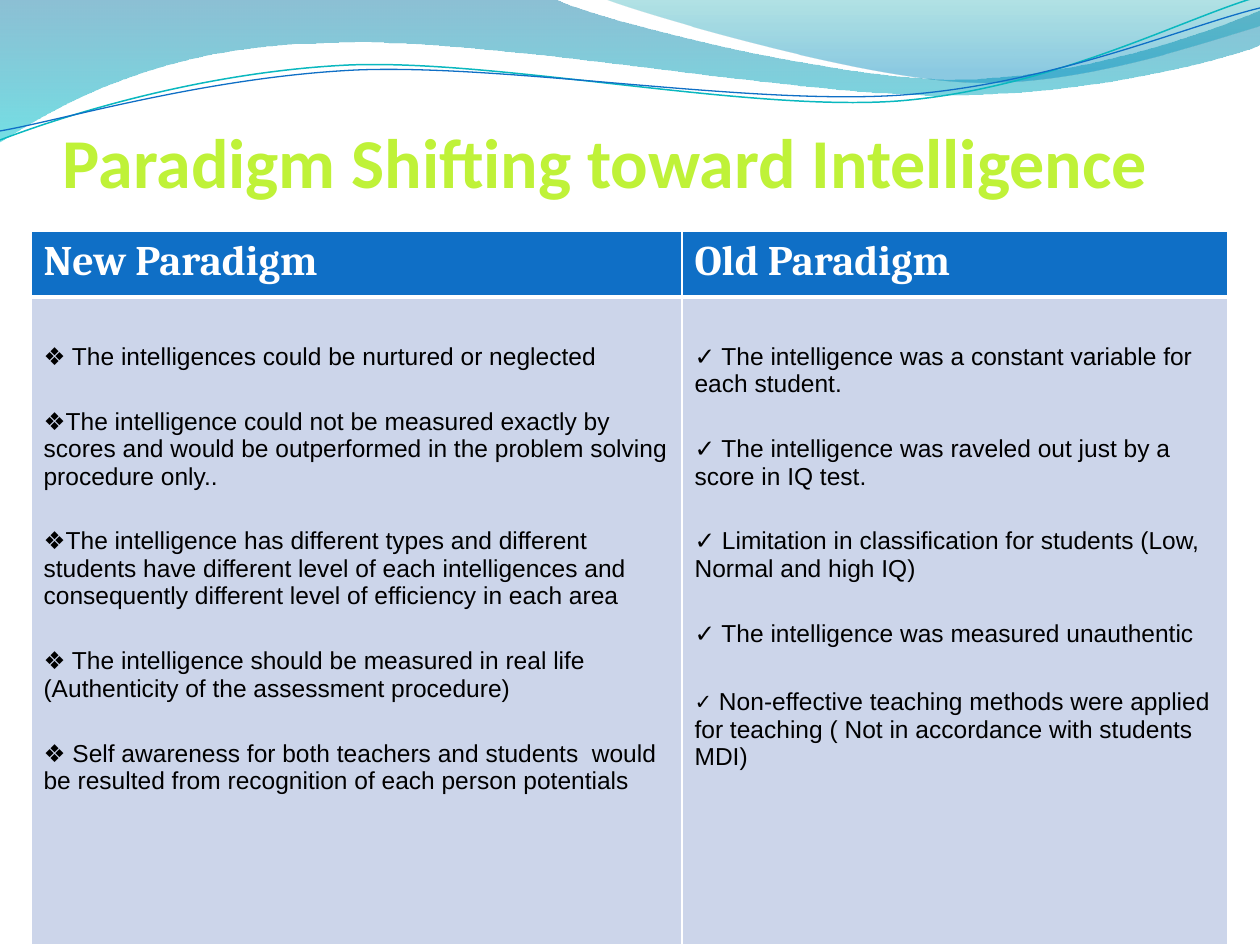
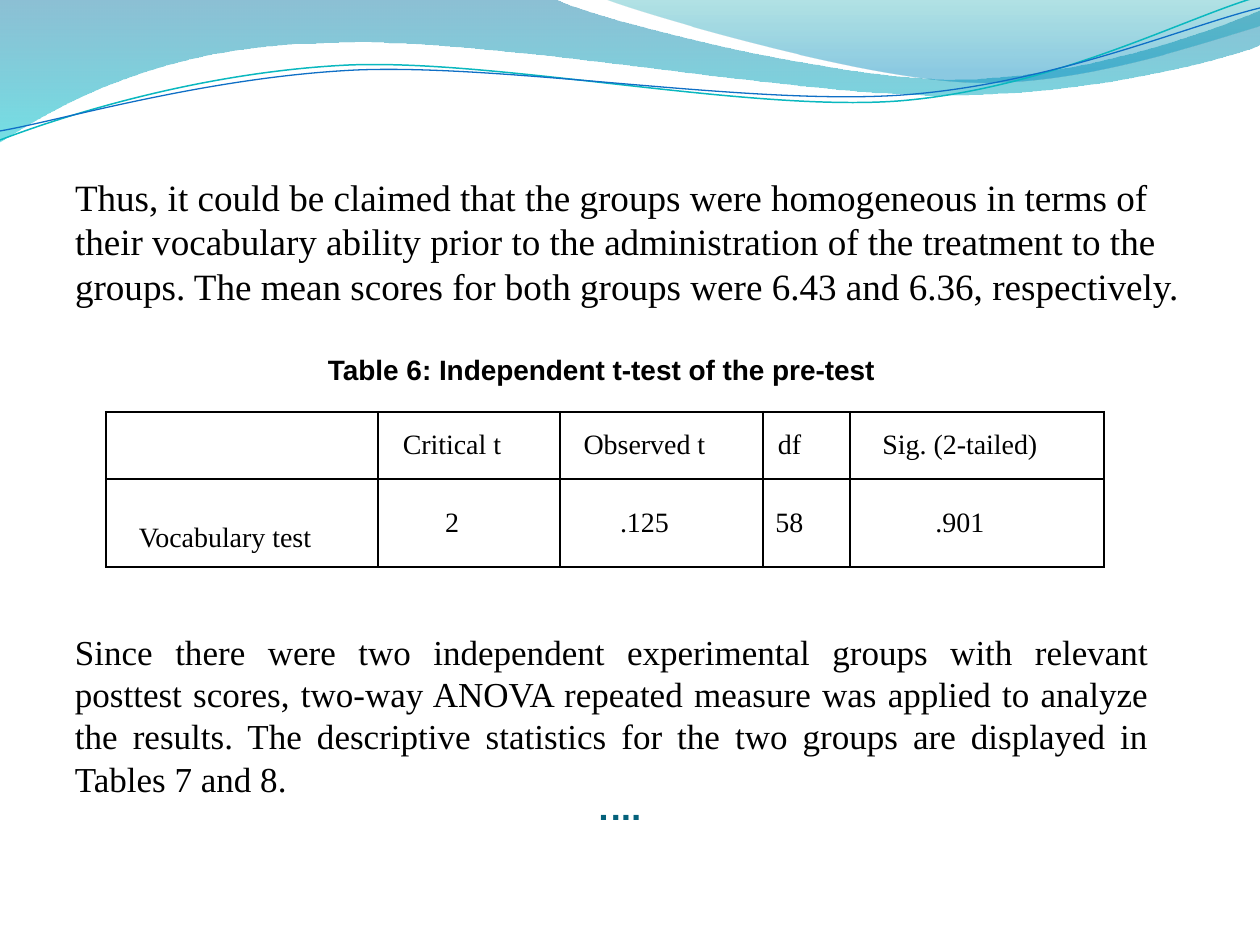
"""Build two slides on paradigms of intelligence and a t-test under a wave band."""
import dataclasses

import lxml.etree
import pptx
import pptx.dml.color
import pptx.enum.text
import pptx.oxml.ns
import pptx.util

ALIGN = pptx.enum.text.PP_ALIGN
ANCHOR = pptx.enum.text.MSO_ANCHOR
SCALE = 914400 / 126
WIDE, HIGH = 1260, 945


@dataclasses.dataclass(frozen=True)
class Theme:
    ink: str = "000000"
    white: str = "FFFFFF"
    lime: str = "BFF238"
    teal: str = "04617B"
    blue: str = "0F6FC6"
    aqua: str = "0AB8BF"
    pale: str = "CCD5EA"
    band: tuple = ((0, "0074A1", 45), (1, "00C6CF", 55))
    sheen: tuple = ((0, "00A1A9", 30), (0.8, "008BBF", 45))
    head: str = "Calibri"
    label: str = "Cambria"
    sans: str = "Arial"
    serif: str = "Times New Roman"
    title: int = 40
    mark: int = 28
    column: int = 24
    lead: float = 21.2
    body: int = 20
    small: int = 16
    item: int = 14


BAND = [(0, 0), (554, -1), (600, 21, 837, 79, 955, 79),
        (1075, 79, 1207, 33, 1260, 11), (1261, 45),
        (1239, 55, 1096, 96, 940, 95), (784, 95, 481, 35, 324, 43),
        (163, 45, 58, 105, -1, 142)]
SHEEN = [(604, -1), (641, 14, 859, 78, 969, 82),
         (1079, 87, 1211, 40, 1260, 26), (1260, 0)]
AQUA_WAVE = [(0, 140), (60, 117, 199, 72, 349, 65),
             (498, 59, 747, 112, 898, 101), (1050, 89, 1182, 19, 1257, -3)]
BLUE_WAVE = [(0, 131), (59, 121, 207, 77, 357, 70),
             (508, 64, 752, 106, 903, 95), (1053, 84, 1186, 26, 1260, 8)]

NEW = [
    " The intelligences could be nurtured or neglected",
    "The intelligence could not be measured exactly by scores and would be "
    "outperformed in the problem solving procedure only..",
    "The intelligence has different types and different students have different "
    "level of each intelligences and consequently different level of efficiency "
    "in each area",
    " The intelligence should be measured in real life (Authenticity of the "
    "assessment procedure)",
    " Self awareness for both teachers and students  would be resulted from "
    "recognition of each person potentials",
]
OLD = [
    " The intelligence was a constant variable for each student.",
    " The intelligence was raveled out just by a score in IQ test.",
    " Limitation in classification for students (Low, Normal and high IQ)",
    " The intelligence was measured unauthentic",
]
LAST = (" Non-effective teaching methods were applied for teaching "
        "( Not in accordance with students MDI)")
SCORES = [["", "Critical t", "Observed t", "df", "Sig. (2-tailed)"],
          ["Vocabulary test", "2", ".125", "58", ".901"]]
CLAIM = ("Thus, it could be claimed that the groups were homogeneous in terms of "
         "their vocabulary ability prior to the administration of the treatment to "
         "the groups. The mean scores for both groups were 6.43 and 6.36, "
         "respectively.")
METHOD = ("Since there were two independent experimental groups with relevant "
          "posttest scores, two-way ANOVA repeated measure was applied to analyze "
          "the results. The descriptive statistics for the two groups are displayed "
          "in Tables 7 and 8.")


def px(size):
    return pptx.util.Emu(round(size * SCALE))


def rgb(code):
    return pptx.dml.color.RGBColor.from_string(code)


def node(parent, tag, **values):
    return lxml.etree.SubElement(parent, pptx.oxml.ns.qn(tag), values)


def write(frame, text, font, size, color, bold=False, align=ALIGN.LEFT,
          lines=None, gap=0, bullet=None, part=100, rtl=False):
    para = frame.paragraphs[0]
    if para.runs:
        para = frame.add_paragraph()
    if bullet:
        props = para._p.get_or_add_pPr()
        node(props, "a:buSzPct", val=str(part * 1000))
        node(props, "a:buFont", typeface=font)
        node(props, "a:buChar", char=bullet)
    if rtl:
        para._p.get_or_add_pPr().set("rtl", "1")
    para.alignment = align
    if lines:
        para.line_spacing = lines
    if gap:
        para.space_before = pptx.util.Pt(gap)
    run = para.add_run()
    run.text = text
    run.font.name, run.font.size = font, pptx.util.Pt(size)
    run.font.bold = bold
    run.font.color.rgb = rgb(color)


class Deck:
    def __init__(self, theme):
        self.theme = theme
        self.show = pptx.Presentation()
        self.show.slide_width, self.show.slide_height = px(WIDE), px(HIGH)
        self.slide = None

    def page(self):
        look = self.theme
        self.slide = self.show.slides.add_slide(self.show.slide_layouts[6])
        self.area(BAND, look.band)
        self.area(SHEEN, look.sheen)
        self.wave(AQUA_WAVE, look.aqua, 0.85)
        self.wave(BLUE_WAVE, look.blue, 0.75)

    def outline(self, steps, close):
        points = [(px(x), px(y)) for step in steps
                  for x, y in zip(step[::2], step[1::2])]
        pen = self.slide.shapes.build_freeform(*points[0], scale=1.0)
        pen.add_line_segments(points[1:], close=close)
        shape = pen.convert_to_shape()
        shape.shadow.inherit = False
        lines = list(shape._element.iter(pptx.oxml.ns.qn("a:lnTo")))
        for step in steps[1:]:
            group, lines = lines[:len(step) // 2], lines[len(step) // 2:]
            if len(group) == 3:
                curve = node(group[0].getparent(), "a:cubicBezTo")
                group[0].addprevious(curve)
                for line in group:
                    curve.append(line[0])
                    line.getparent().remove(line)
        return shape

    def area(self, steps, stops):
        shape = self.outline(steps, True)
        shape.line.fill.background()
        shape.fill.gradient()
        shape.fill.gradient_angle = 270
        for stop, (place, color, alpha) in zip(shape.fill.gradient_stops, stops):
            stop.position = place
            stop.color.rgb = rgb(color)
            tone = stop._gs.find(pptx.oxml.ns.qn("a:srgbClr"))
            node(tone, "a:alpha", val=str(alpha * 1000))

    def wave(self, steps, color, width):
        shape = self.outline(steps, False)
        shape.fill.background()
        shape.line.color.rgb = rgb(color)
        shape.line.width = pptx.util.Pt(width)

    def text(self, box, words, anchor=ANCHOR.TOP, **style):
        frame = self.slide.shapes.add_textbox(*map(px, box)).text_frame
        frame.margin_left = frame.margin_right = 0
        frame.margin_top = frame.margin_bottom = 0
        frame.word_wrap = True
        frame.vertical_anchor = anchor
        write(frame, words, **style)

    def table(self, left, top, cols, rows):
        shape = self.slide.shapes.add_table(
            len(rows), len(cols), px(left), px(top), px(sum(cols)), px(sum(rows)))
        grid = shape.table
        for col, size in zip(grid.columns, cols):
            col.width = px(size)
        for row, size in zip(grid.rows, rows):
            row.height = px(size)
        return grid

    def cell(self, cell, fill, edge, width, base=None):
        if fill:
            cell.fill.solid()
            cell.fill.fore_color.rgb = rgb(fill)
        else:
            cell.fill.background()
        props = cell._tc.get_or_add_tcPr()
        for i, side in enumerate("LRTB"):
            size = base if base and side == "B" else width
            line = node(props, "a:ln" + side, w=str(pptx.util.Pt(size)))
            node(node(line, "a:solidFill"), "a:srgbClr", val=edge)
            props.insert(i, line)


def shift(deck):
    look = deck.theme
    deck.page()
    deck.text((63, 95, 1134, 107), "Paradigm Shifting toward Intelligence",
              anchor=ANCHOR.BOTTOM, font=look.head, size=look.title,
              color=look.lime, bold=True)
    top, head = 231, 66
    grid = deck.table(31, top, [651, 546], [head, HIGH - top - head])
    item = dict(font=look.sans, size=look.item, color=look.ink)
    columns = [("New Paradigm", NEW, "❖"), ("Old Paradigm", OLD, "✓")]
    for i, (name, items, bullet) in enumerate(columns):
        cap, cell = grid.cell(0, i), grid.cell(1, i)
        deck.cell(cap, look.blue, look.white, 1, base=3)
        write(cap.text_frame, name, look.label, look.column, look.white, bold=True)
        deck.cell(cell, look.pale, look.white, 1)
        cell.margin_top = px(46)
        for j, words in enumerate(items):
            write(cell.text_frame, words, bullet=bullet, gap=21.3 if j else 0, **item)
    write(grid.cell(1, 1).text_frame, LAST, bullet="✓", part=86, gap=23.5, **item)


def test(deck):
    look = deck.theme
    deck.page()
    deck.text((53, 740, 1134, 90), "….", anchor=ANCHOR.BOTTOM, font=look.head,
              size=look.mark, color=look.teal, align=ALIGN.CENTER, rtl=True)
    prose = dict(font=look.serif, color=look.ink)
    deck.text((75, 174, 1116, 134), CLAIM, size=look.lead, **prose)
    deck.text((75, 631, 1074, 168), METHOD, size=look.body,
              align=ALIGN.JUSTIFY, **prose)
    grid = deck.table(106, 412, [272, 182, 203, 87, 254], [67, 88])
    for i, row in enumerate(SCORES):
        for j, words in enumerate(row):
            cell = grid.cell(i, j)
            deck.cell(cell, None, look.ink, 1.5)
            cell.vertical_anchor = ANCHOR.MIDDLE
            cell.margin_left, cell.margin_right = px(9), px(43)
            cell.margin_top = cell.margin_bottom = 0
            if words:
                write(cell.text_frame, words, look.serif, look.small, look.ink,
                      align=ALIGN.CENTER, lines=2.0 if i and not j else None)
    deck.text((328, 353, 580, 34), "Table 6: Independent t-test of the pre-test",
              font=look.sans, size=look.small, color=look.ink, bold=True)


def main():
    deck = Deck(Theme())
    shift(deck)
    test(deck)
    deck.show.save("out.pptx")


if __name__ == "__main__":
    main()
